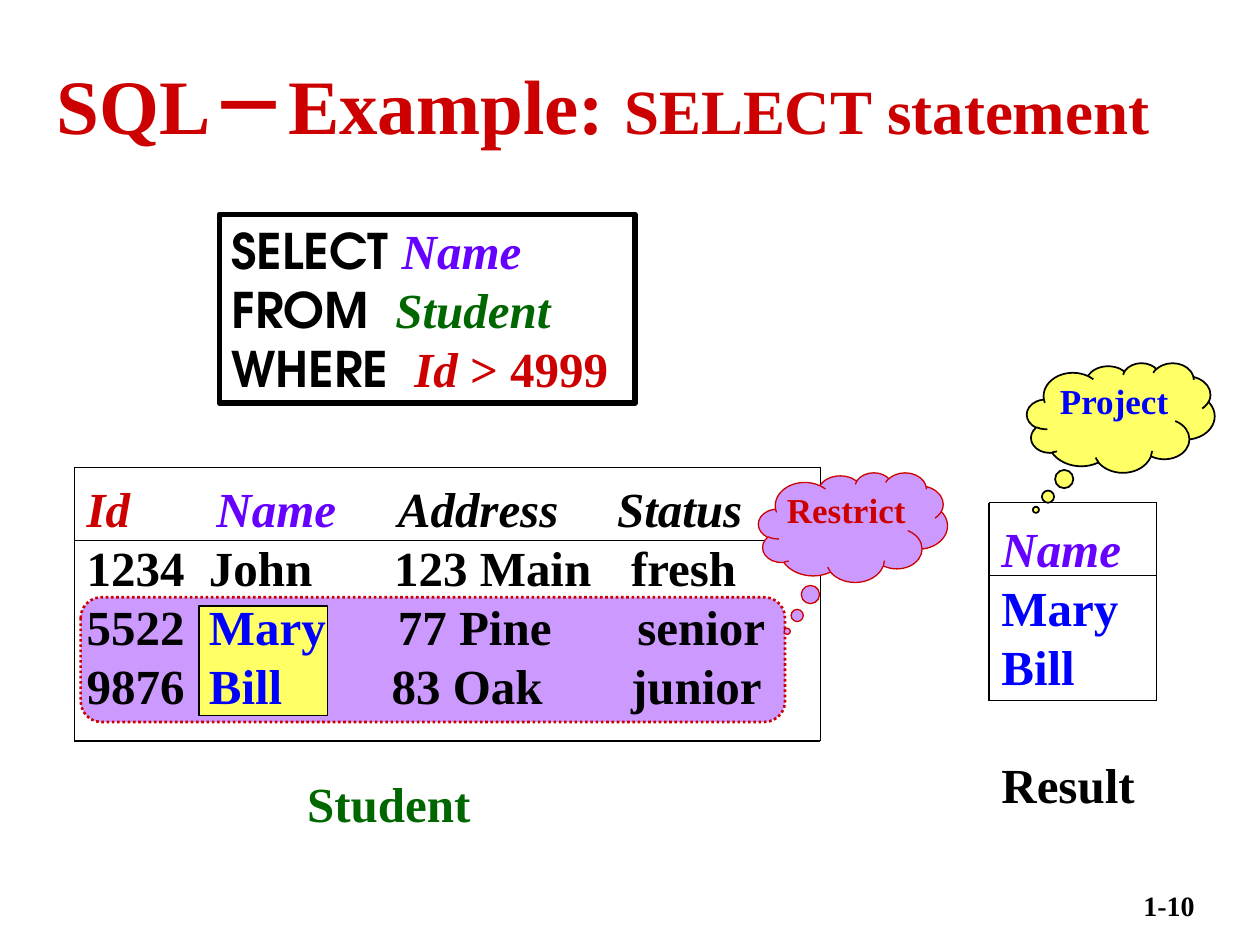
from dataclasses import dataclass

from lxml.etree import SubElement
from pptx import Presentation
from pptx.dml.color import RGBColor
from pptx.enum.dml import MSO_LINE
from pptx.enum.shapes import MSO_CONNECTOR, MSO_SHAPE
from pptx.enum.text import MSO_ANCHOR, MSO_AUTO_SIZE, PP_ALIGN
from pptx.oxml.ns import qn
from pptx.util import Inches, Pt

COLORS = {
    "black": "000000",
    "red": "CC0000",
    "violet": "6600FF",
    "green": "006600",
    "blue": "0000FF",
    "lilac": "CC99FF",
    "yellow": "FFFF66",
}
SERIF = "Times New Roman"
KEYWORD_FONT = "TeX Gyre Adventor"
ROW_PITCH = 0.468


@dataclass
class Run:
    text: str
    color: str = "black"
    italic: bool = False
    size: int = 28
    font: str = SERIF


@dataclass
class Row:
    runs: list[Run]
    tabs: tuple[float, ...] = ()
    align: PP_ALIGN = PP_ALIGN.LEFT


@dataclass
class Box:
    left: float
    top: float
    width: float
    height: float

    def lengths(self) -> list:
        return [Inches(v) for v in (self.left, self.top, self.width, self.height)]


@dataclass
class Grid:
    xs: tuple[float, float]
    ys: tuple[float, float, float]


@dataclass
class Cloud:
    box: Box
    label: Run
    fill: str
    line: str
    weight: float
    tail: tuple[float, float]


def rgb(color: str) -> RGBColor:
    return RGBColor.from_string(COLORS[color])


def write(frame, rows: list[Row], inset: tuple[float, float] = (0.1, 0.05),
          anchor=MSO_ANCHOR.TOP) -> None:
    frame.word_wrap = True
    frame.auto_size = MSO_AUTO_SIZE.NONE
    frame.vertical_anchor = anchor
    frame.margin_left = frame.margin_right = Inches(inset[0])
    frame.margin_top = frame.margin_bottom = Inches(inset[1])
    for index, row in enumerate(rows):
        paragraph = frame.paragraphs[0] if index == 0 else frame.add_paragraph()
        paragraph.alignment = row.align
        if row.tabs:
            stops = SubElement(paragraph._p.get_or_add_pPr(), qn("a:tabLst"))
            for position in row.tabs:
                SubElement(stops, qn("a:tab"), pos=str(Inches(position)), algn="l")
        for part in row.runs:
            run = paragraph.add_run()
            run.text = part.text
            run.font.name = part.font
            run.font.size = Pt(part.size)
            run.font.bold = True
            run.font.italic = part.italic
            run.font.color.rgb = rgb(part.color)


def add_text(slide, box: Box, rows: list[Row]) -> None:
    write(slide.shapes.add_textbox(*box.lengths()).text_frame, rows)


def add_panel(slide, kind, box: Box, fill: str | None, line: str, weight: float):
    panel = slide.shapes.add_shape(kind, *box.lengths())
    panel.shadow.inherit = False
    if fill:
        panel.fill.solid()
        panel.fill.fore_color.rgb = rgb(fill)
    else:
        panel.fill.background()
    panel.line.color.rgb = rgb(line)
    panel.line.width = Pt(weight)
    return panel


def add_rule(slide, x1: float, y1: float, x2: float, y2: float) -> None:
    rule = slide.shapes.add_connector(
        MSO_CONNECTOR.STRAIGHT, Inches(x1), Inches(y1), Inches(x2), Inches(y2))
    rule.line.color.rgb = rgb("black")
    rule.line.width = Pt(0.75)
    SubElement(rule._element.spPr, qn("a:effectLst"))


def add_grid(slide, grid: Grid) -> None:
    for y in grid.ys:
        add_rule(slide, grid.xs[0], y, grid.xs[1], y)
    for x in grid.xs:
        add_rule(slide, x, grid.ys[0], x, grid.ys[-1])


def add_cloud(slide, cloud: Cloud) -> None:
    shape = add_panel(slide, MSO_SHAPE.CLOUD_CALLOUT, cloud.box,
                      cloud.fill, cloud.line, cloud.weight)
    for index, offset in enumerate(cloud.tail):
        shape.adjustments[index] = offset
    write(shape.text_frame, [Row([cloud.label], align=PP_ALIGN.CENTER)], (0, 0))


def keyword(text: str) -> Run:
    return Run(text, font=KEYWORD_FONT)


QUERY = [
    Row([keyword("SELECT\t"), Run("Name", "violet", True)], (1.35,)),
    Row([keyword("FROM\t"), Run("Student", "green", True)], (1.3,)),
    Row([keyword("WHERE\t"), Run("Id", "red", True), Run(" > 4999", "red")], (1.45,)),
]
STUDENTS = [
    Row([Run("Id\t", "red", True), Run("Name\t", "violet", True),
         Run("Address\tStatus", italic=True)], (1.03, 2.47, 4.21)),
    Row([Run("1234\tJohn\t123 Main\tfresh")], (0.97, 2.44, 4.32)),
    Row([Run("5522\t"), Run("Mary", "blue"), Run("\t77 Pine\tsenior")],
        (0.97, 2.47, 4.37)),
    Row([Run("9876\t"), Run("Bill", "blue"), Run("\t83 Oak\tjunior")],
        (0.97, 2.42, 4.32)),
]
RESULT = [
    Row([Run("Name", "violet", True)]),
    Row([Run("Mary", "blue")]),
    Row([Run("Bill", "blue")]),
]
GRIDS = [
    Grid((0.59, 6.51), (3.71, 4.29, 5.88)),
    Grid((7.85, 9.18), (3.99, 4.57, 5.56)),
]
CLOUDS = [
    Cloud(Box(6.02, 3.75, 1.5, 0.87), Run("Restrict", "red", size=20),
          "lilac", "red", 0.75, (-0.348, 0.949)),
    Cloud(Box(8.15, 2.88, 1.49, 0.87), Run("Project", "blue", size=20),
          "yellow", "black", 1, (-0.452, 0.841)),
]


def main() -> None:
    deck = Presentation()
    deck.slide_width, deck.slide_height = Inches(10), Inches(7.5)
    slide = deck.slides.add_slide(deck.slide_layouts[5])

    title = slide.shapes.title
    title.left, title.top, title.width, title.height = Box(0.35, 0.42, 9.37, 0.81).lengths()
    write(title.text_frame, [Row([Run("SQL－Example: ", "red", size=44),
                                  Run("SELECT statement", "red", size=36)])],
          anchor=MSO_ANCHOR.MIDDLE)

    restricted = add_panel(slide, MSO_SHAPE.ROUNDED_RECTANGLE,
                           Box(0.64, 4.74, 5.59, 0.99), "lilac", "red", 1.5)
    restricted.line.dash_style = MSO_LINE.ROUND_DOT
    add_panel(slide, MSO_SHAPE.RECTANGLE, Box(1.58, 4.81, 1.02, 0.87),
              "yellow", "black", 0.75)

    query = add_panel(slide, MSO_SHAPE.RECTANGLE, Box(1.74, 1.7, 3.3, 1.5),
                      None, "black", 3)
    write(query.text_frame, QUERY)

    add_text(slide, Box(0.59, 3.75, 5.9, 2), STUDENTS)
    add_text(slide, Box(2.34, 3.75 + 5 * ROW_PITCH, 1.7, 0.56),
             [Row([Run("Student", "green")])])
    add_text(slide, Box(7.85, 4.07, 1.4, 1.5), RESULT)
    add_text(slide, Box(7.85, 4.07 + 4 * ROW_PITCH, 1.4, 0.56), [Row([Run("Result")])])

    for grid in GRIDS:
        add_grid(slide, grid)
    for cloud in CLOUDS:
        add_cloud(slide, cloud)

    add_text(slide, Box(8.62, 7, 0.96, 0.5),
             [Row([Run("1-10", size=16)], align=PP_ALIGN.RIGHT)])
    deck.save("out.pptx")


if __name__ == "__main__":
    main()
